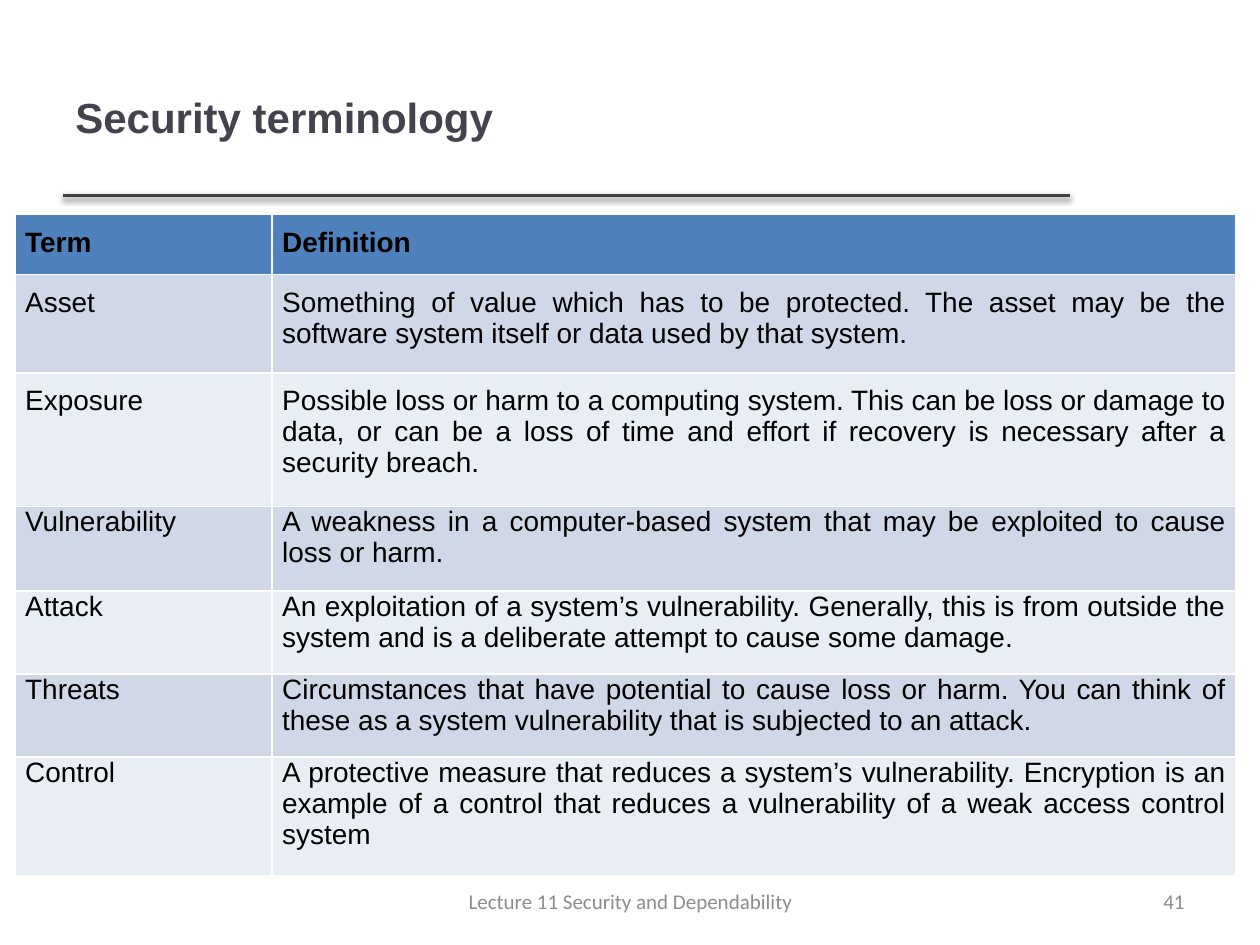
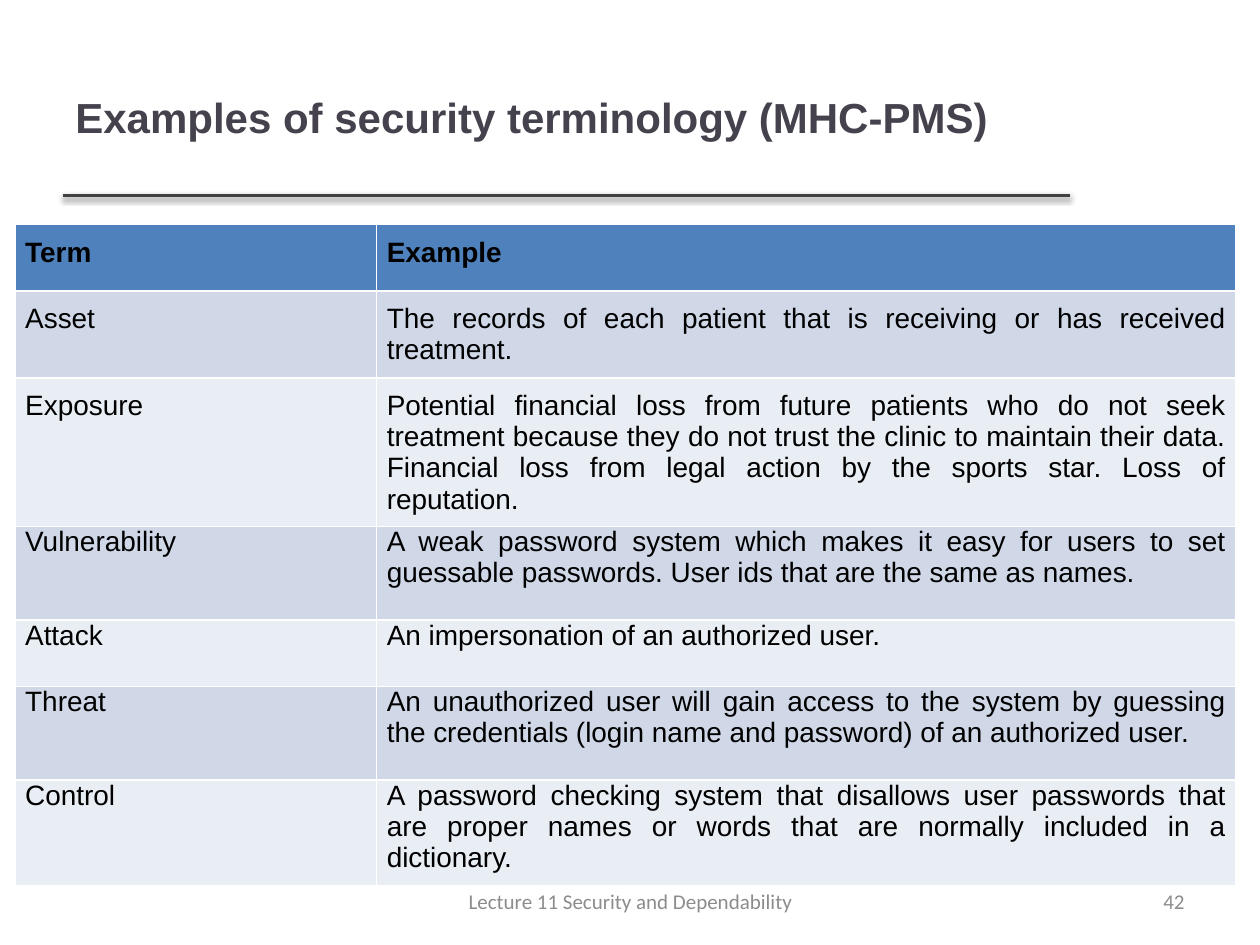
"""Builds two slides of security terminology tables with a shared title, rule and footer."""
from lxml import etree
from pptx import Presentation
from pptx.dml.color import RGBColor
from pptx.enum.shapes import MSO_CONNECTOR
from pptx.enum.text import MSO_ANCHOR, PP_ALIGN
from pptx.oxml import parse_xml
from pptx.util import Inches, Pt

LEFT, CENTER, RIGHT, JUSTIFY = PP_ALIGN.LEFT, PP_ALIGN.CENTER, PP_ALIGN.RIGHT, PP_ALIGN.JUSTIFY
MIDDLE = MSO_ANCHOR.MIDDLE
STRAIGHT = MSO_CONNECTOR.STRAIGHT
DRAWING = "http://schemas.openxmlformats.org/drawingml/2006/main"

FOOTER = "Lecture 11 Security and Dependability"
PAGES = [
    {
        "title": "Security terminology",
        "number": 41,
        "top": 1.7,
        "columns": [2.04, 7.65],
        "heights": [0.48, 0.78, 1.06, 0.67, 0.66, 0.66, 0.94],
        "rows": [
            ("Term", "Definition"),
            ("Asset", "Something of value which has to be protected. The asset may be the "
                      "software system itself or data used by that system."),
            ("Exposure", "Possible loss or harm to a computing system. This can be loss or "
                         "damage to data, or can be a loss of time and effort if recovery is "
                         "necessary after a security breach."),
            ("Vulnerability", "A weakness in a computer-based system that may be exploited to "
                              "cause loss or harm."),
            ("Attack", "An exploitation of a system’s vulnerability. Generally, this is from "
                       "outside the system and is a deliberate attempt to cause some damage."),
            ("Threats", "Circumstances that have potential to cause loss or harm. You can think "
                        "of these as a system vulnerability that is subjected to an attack."),
            ("Control", "A protective measure that reduces a system’s vulnerability. Encryption "
                        "is an example of a control that reduces a vulnerability of a weak "
                        "access control system"),
        ],
    },
    {
        "title": "Examples of security terminology (MHC-PMS)",
        "number": 42,
        "top": 1.78,
        "columns": [2.87, 6.82],
        "heights": [0.53, 0.69, 1.18, 0.74, 0.53, 0.74, 0.84],
        "rows": [
            ("Term", "Example"),
            ("Asset", "The records of each patient that is receiving or has received treatment."),
            ("Exposure", "Potential financial loss from future patients who do not seek "
                         "treatment because they do not trust the clinic to maintain their "
                         "data. Financial loss from legal action by the sports star. Loss of "
                         "reputation."),
            ("Vulnerability", "A weak password system which makes it easy for users to set "
                              "guessable passwords. User ids that are the same as names."),
            ("Attack", "An impersonation of an authorized user."),
            ("Threat", "An unauthorized user will gain access to the system by guessing the "
                       "credentials (login name and password) of an authorized user."),
            ("Control", "A password checking system that disallows user passwords that are "
                        "proper names or words that are normally included in a dictionary."),
        ],
    },
]

TITLE_FONT = {"name": "Arial", "size": Pt(24), "bold": True}
FOOTER_FONT = {"name": "Calibri", "size": Pt(12), "bold": False}
HEADER_FONT = {"name": "Arial", "size": Pt(16), "bold": True}
BODY_FONT = {**HEADER_FONT, "bold": False}
TITLE_COLOR, FOOTER_COLOR, RULE_COLOR = "46424D", "8C8C8C", "404040"
CELL_COLOR, BORDER_COLOR, HEADER_FILL = "000000", "FFFFFF", "4F81BD"
BAND_FILLS = ["E9EDF4", "D0D8E8"]
TABLE_LEFT = 0.12


def color(value):
    return RGBColor.from_string(value)


def write(frame, text, font, ink, align):
    para = frame.paragraphs[0]
    para.alignment = align
    span = para.add_run()
    span.text = text
    for name, value in font.items():
        setattr(span.font, name, value)
    span.font.color.rgb = color(ink)


def add_text(page, place, text, font, ink, align):
    box = page.shapes.add_textbox(*map(Inches, place))
    box.text_frame.word_wrap = True
    box.text_frame.vertical_anchor = MIDDLE
    write(box.text_frame, text, font, ink, align)


def add_rule(page):
    rule = page.shapes.add_connector(STRAIGHT, *map(Inches, (0.5, 1.55, 8.49, 1.55)))
    rule.line.color.rgb = color(RULE_COLOR)
    rule.line.width = Pt(2)
    rule._element.spPr.append(parse_xml(
        f'<a:effectLst xmlns:a="{DRAWING}"><a:outerShdw blurRad="{Pt(3.1)}" dist="{Pt(1.6)}" '
        'dir="5400000" rotWithShape="0"><a:srgbClr val="000000"><a:alpha val="38000"/>'
        '</a:srgbClr></a:outerShdw></a:effectLst>'))


def add_borders(cell):
    properties = cell._tc.get_or_add_tcPr()
    for side in "LRTB":
        line = etree.SubElement(properties, f"{{{DRAWING}}}ln{side}", w=str(Pt(1)))
        fill = etree.SubElement(line, f"{{{DRAWING}}}solidFill")
        etree.SubElement(fill, f"{{{DRAWING}}}srgbClr", val=BORDER_COLOR)


def format_cell(cell, text, row):
    header = row == 0
    margins = {
        "margin_left": 0.08,
        "margin_right": 0.08,
        "margin_top": 0.1 if row < 3 else 0,
        "margin_bottom": 0,
    }
    for name, value in margins.items():
        setattr(cell, name, Inches(value))
    add_borders(cell)
    cell.fill.solid()
    cell.fill.fore_color.rgb = color(HEADER_FILL if header else BAND_FILLS[row % 2])
    write(cell.text_frame, text, HEADER_FONT if header else BODY_FONT, CELL_COLOR, JUSTIFY)


def add_terms(page, content):
    rows, columns, heights = content["rows"], content["columns"], content["heights"]
    place = (TABLE_LEFT, content["top"], sum(columns), sum(heights))
    table = page.shapes.add_table(len(rows), len(columns), *map(Inches, place)).table
    for column, width in zip(table.columns, columns):
        column.width = Inches(width)
    for row, (texts, height) in enumerate(zip(rows, heights)):
        table.rows[row].height = Inches(height)
        for column, text in enumerate(texts):
            format_cell(table.cell(row, column), text, row)


def main():
    deck = Presentation()
    deck.slide_width, deck.slide_height = Inches(10), Inches(7.5)
    for content in PAGES:
        page = deck.slides.add_slide(deck.slide_layouts[6])
        add_rule(page)
        add_text(page, (0.5, 0.3, 7.98, 1.25), content["title"], TITLE_FONT, TITLE_COLOR, LEFT)
        add_terms(page, content)
        add_text(page, (7.17, 6.95, 2.33, 0.4), str(content["number"]),
                 FOOTER_FONT, FOOTER_COLOR, RIGHT)
        add_text(page, (3.42, 6.95, 3.17, 0.4), FOOTER, FOOTER_FONT, FOOTER_COLOR, CENTER)
    deck.save("out.pptx")


if __name__ == "__main__":
    main()
